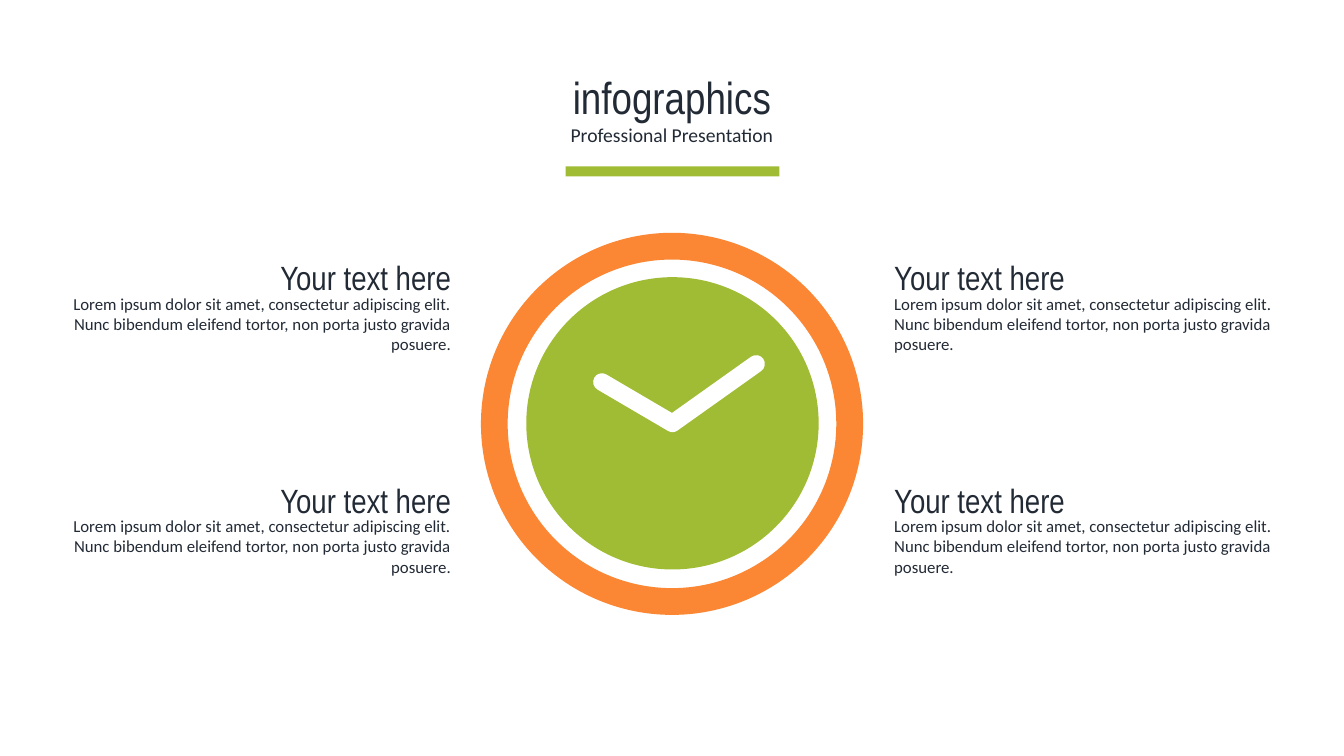
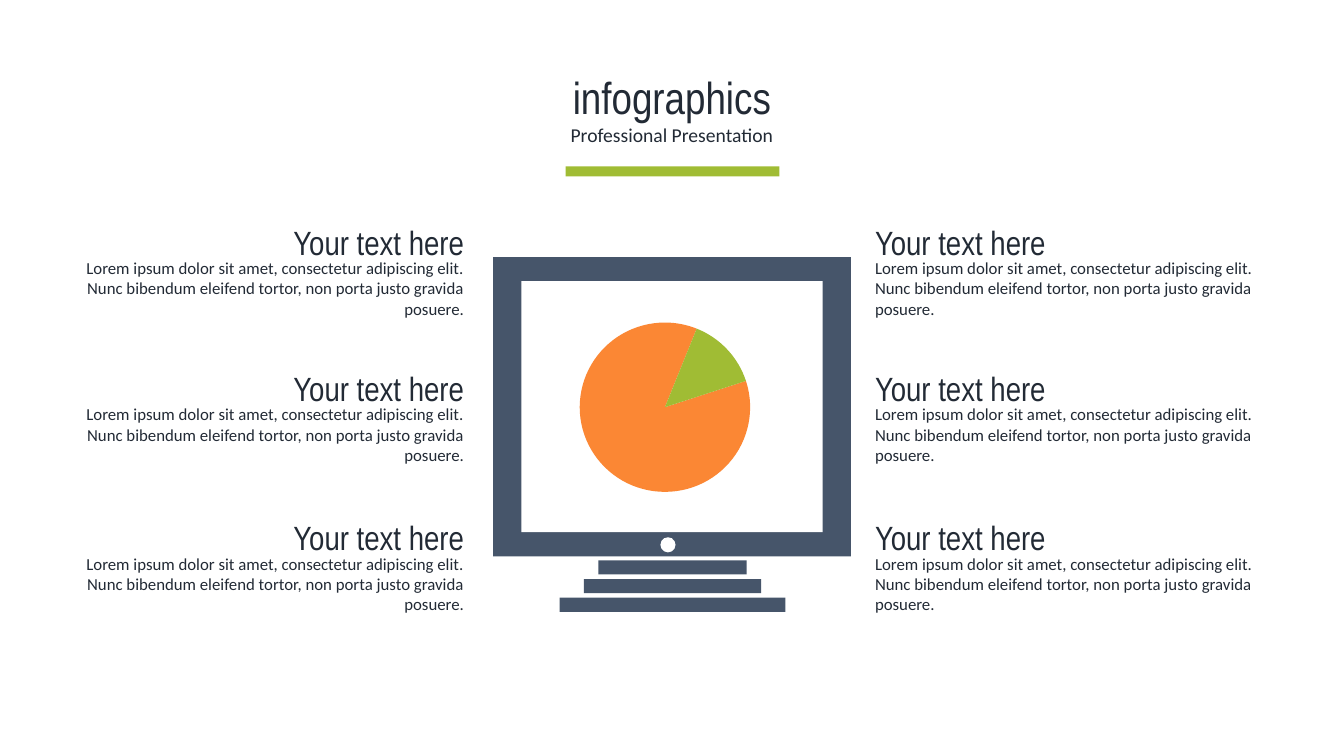
import pptx
import pptx.util
import pptx.dml.color
import pptx.enum.shapes
import pptx.enum.text
import pptx.oxml.ns
import lxml.etree

Inches = pptx.util.Inches
SHAPE = pptx.enum.shapes.MSO_SHAPE
ALIGN = pptx.enum.text.PP_ALIGN

COLORS = {
    "text": "222A35",
    "green": "A0BC34",
    "orange": "FB8734",
    "slate": "46556A",
    "white": "FFFFFF",
}
STYLES = {
    "title": {"name": "Arial Narrow", "size": pptx.util.Pt(32)},
    "subtitle": {"name": "Calibri", "size": pptx.util.Pt(14)},
    "heading": {"name": "Arial Narrow", "size": pptx.util.Pt(24)},
    "body": {"name": "Calibri", "size": pptx.util.Pt(12)},
}
HEADING = "Your text here"
BODY = (
    "Lorem ipsum dolor sit amet, consectetur adipiscing elit. "
    "Nunc bibendum eleifend tortor, non porta justo gravida posuere."
)
TEXT_W = 4.09
BODY_DROP = 0.36


def add_text(s, box, text, style, align):
    if style == "title":
        sp = s.shapes.title
        sp.left, sp.top, sp.width, sp.height = [Inches(v) for v in box]
    else:
        sp = s.shapes.add_textbox(*[Inches(v) for v in box])
    tf = sp.text_frame
    frame_format = {
        "word_wrap": True,
        "auto_size": pptx.enum.text.MSO_AUTO_SIZE.SHAPE_TO_FIT_TEXT,
        "vertical_anchor": pptx.enum.text.MSO_ANCHOR.TOP,
    }
    for key, value in frame_format.items():
        setattr(tf, key, value)
    p = tf.paragraphs[0]
    p.alignment = align
    r = p.add_run()
    r.text = text
    for key, value in STYLES[style].items():
        setattr(r.font, key, value)
    r.font.color.rgb = pptx.dml.color.RGBColor.from_string(COLORS["text"])


def add_filled(s, kind, box, color, adjustments=()):
    sp = s.shapes.add_shape(kind, *[Inches(v) for v in box])
    sp.shadow.inherit = False
    sp.fill.solid()
    sp.fill.fore_color.rgb = pptx.dml.color.RGBColor.from_string(COLORS[color])
    sp.line.fill.background()
    for i, value in enumerate(adjustments):
        sp.adjustments[i] = value


prs = pptx.Presentation()
prs.slide_width = Inches(13.33)
prs.slide_height = Inches(7.5)

text_grids = [
    {"left": 0.48, "right": 8.77, "tops": [2.5, 4.71]},
    {"left": 0.61, "right": 8.58, "tops": [2.15, 3.6, 5.08]},
]
slides = []
for grid in text_grids:
    s = prs.slides.add_slide(prs.slide_layouts[5])
    slides.append(s)
    add_text(s, (0, 0.64, 13.33, 0.64), "infographics", "title", ALIGN.CENTER)
    add_text(s, (0.68, 1.17, 11.97, 0.34), "Professional Presentation", "subtitle", ALIGN.CENTER)
    add_filled(s, SHAPE.RECTANGLE, (5.61, 1.65, 2.12, 0.1), "green")
    for top in grid["tops"]:
        for side, align in (("left", ALIGN.RIGHT), ("right", ALIGN.LEFT)):
            x = grid[side]
            add_text(s, (x, top, TEXT_W, 0.5), HEADING, "heading", align)
            add_text(s, (x, top + BODY_DROP, TEXT_W, 0.71), BODY, "body", align)

clock, monitor = slides

add_filled(clock, SHAPE.DONUT, (4.77, 2.31, 3.79, 3.79), "orange", [0.07])
add_filled(clock, SHAPE.OVAL, (5.22, 2.75, 2.9, 2.9), "green")
hands = [(Inches(x), Inches(y)) for x, y in [(5.97, 3.79), (6.67, 4.2), (7.5, 3.61)]]
builder = clock.shapes.build_freeform(*hands[0])
builder.add_line_segments(hands[1:], close=False)
sp = builder.convert_to_shape()
sp.shadow.inherit = False
sp.fill.background()
sp.line.color.rgb = pptx.dml.color.RGBColor.from_string(COLORS["white"])
sp.line.width = pptx.util.Pt(12.5)
ln = sp.line._get_or_add_ln()
ln.set("cap", "rnd")
lxml.etree.SubElement(ln, pptx.oxml.ns.qn("a:round"))

add_filled(monitor, SHAPE.RECTANGLE, (4.89, 2.55, 3.55, 2.97), "slate")
add_filled(monitor, SHAPE.RECTANGLE, (5.17, 2.79, 2.99, 2.49), "white")
add_filled(monitor, SHAPE.OVAL, (6.55, 5.33, 0.15, 0.15), "white")
for i, width in enumerate([1.47, 1.76, 2.24]):
    add_filled(monitor, SHAPE.RECTANGLE, (6.67 - width / 2, 5.56 + 0.185 * i, width, 0.14), "slate")

DEGREE = 0.6
for color, start, end in (("orange", 342, 292), ("green", 292, 342)):
    add_filled(monitor, SHAPE.PIE, (5.75, 3.2, 1.69, 1.68), color, [start * DEGREE, end * DEGREE])

prs.save("out.pptx")
